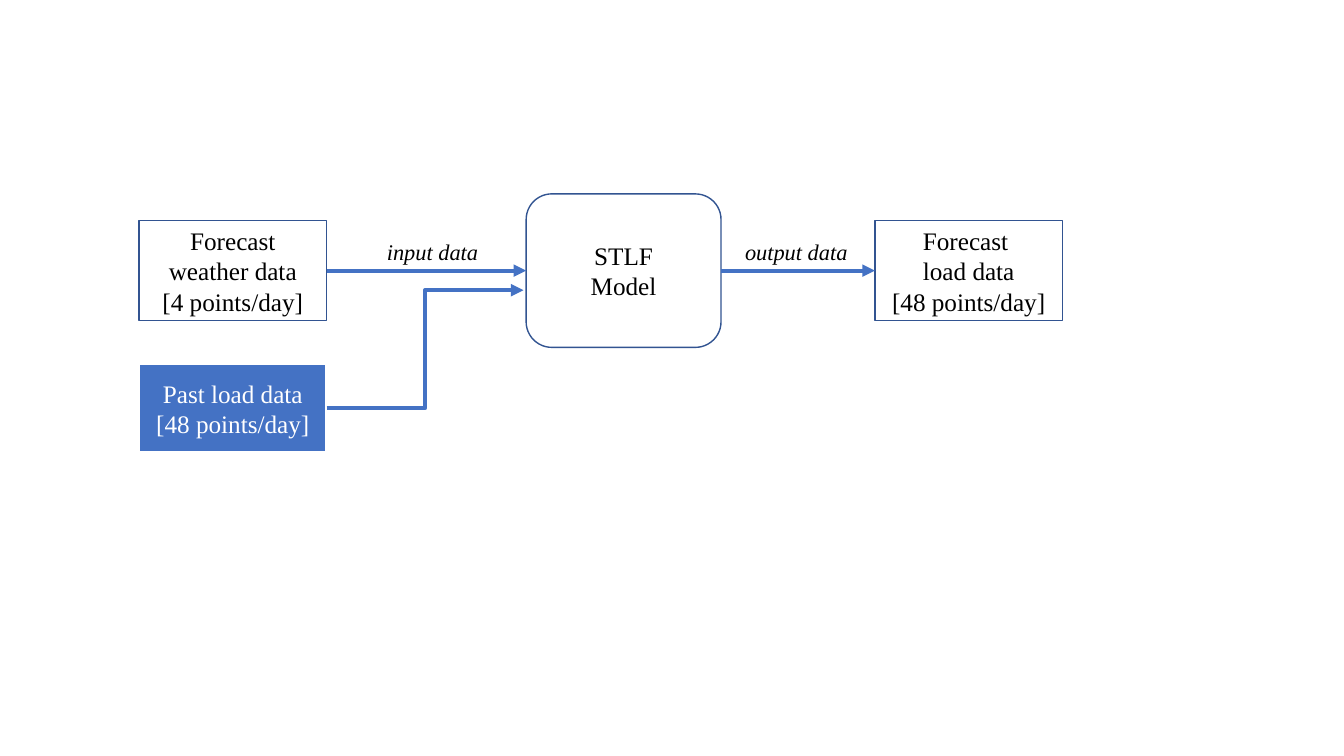
from lxml.etree import SubElement as Sub
from pptx import Presentation
from pptx.dml.color import RGBColor
from pptx.enum.shapes import MSO_CONNECTOR as Link, MSO_SHAPE as Kind
from pptx.enum.text import MSO_ANCHOR as Anchor, MSO_AUTO_SIZE as Fit, PP_ALIGN as Align
from pptx.oxml.ns import qn
from pptx.util import Inches, Pt

BLUE = RGBColor(0x44, 0x72, 0xC4)
NAVY = RGBColor(0x32, 0x54, 0x91)
WHITE = RGBColor(0xFF, 0xFF, 0xFF)
BLACK = RGBColor(0, 0, 0)


class Board:
    """Draws on one slide; all lengths are percent of its width or height."""
    face = "Times New Roman"

    def __init__(self, deck):
        self.deck = deck
        self.slide = deck.slides.add_slide(deck.slide_layouts[6])
        self.shapes = self.slide.shapes

    def spot(self, x, y):
        return (round(self.deck.slide_width * x / 100),
                round(self.deck.slide_height * y / 100))

    def letter(self, frame, lines, size, color, align, slant=False):
        frame.word_wrap = True
        frame.text = "\n".join(lines)
        for para in frame.paragraphs:
            para.alignment = align
            font = para.font
            font.name, font.size, font.italic = self.face, Pt(size), slant
            font.color.rgb = color

    def box(self, x, mid, wide, high, lines, kind=Kind.RECTANGLE,
            fill=None, edge=NAVY, width=1, ink=BLACK):
        """Add a box centred on the height mid."""
        box = self.shapes.add_shape(
            kind, *self.spot(x, mid - high / 2), *self.spot(wide, high))
        box.shadow.inherit = False
        if fill is None:
            box.fill.background()
        else:
            box.fill.solid()
            box.fill.fore_color.rgb = fill
        box.line.color.rgb = edge
        box.line.width = Pt(width)
        box.text_frame.vertical_anchor = Anchor.MIDDLE
        self.letter(box.text_frame, lines, 18, ink, Align.CENTER)
        return box

    def arrow(self, kind, start, end):
        link = self.shapes.add_connector(kind, *self.spot(*start), *self.spot(*end))
        link.line.color.rgb = BLUE
        link.line.width = Pt(3)
        props = link._element.spPr
        Sub(props.find(qn("a:ln")), qn("a:tailEnd"), type="triangle")
        Sub(props, qn("a:effectLst"))
        return link

    def join(self, left, right):
        """Run a straight arrow from one box to the next."""
        link = self.arrow(Link.STRAIGHT, (0, 0), (1, 1))
        link.begin_connect(left, 3)
        link.end_connect(right, 1)

    def label(self, x, y, text):
        note = self.shapes.add_textbox(*self.spot(x, y), *self.spot(12.45, 4.95))
        self.letter(note.text_frame, [text], 16, BLACK, Align.LEFT, slant=True)
        note.text_frame.auto_size = Fit.SHAPE_TO_FIT_TEXT


def main():
    deck = Presentation()
    deck.slide_width, deck.slide_height = Inches(13.33), Inches(7.5)
    board = Board(deck)

    # Shared places: main row, lower row, box columns and sizes
    row, low = 35.8, 54
    left, mid, right = 10.35, 39.15, 65.1
    wide, high = 13.95, 13.2

    # Boxes
    model = board.box(mid, row, 14.5, 20.3, ["STLF", "Model"],
                      kind=Kind.ROUNDED_RECTANGLE)
    sky = board.box(left, row, wide, high,
                    ["Forecast weather data", "[4 points/day]"])
    board.box(left, low, wide, 11.7, ["Past load data", "[48 points/day]"],
              fill=BLUE, edge=WHITE, width=1.5, ink=WHITE)
    load = board.box(right, row, wide, high,
                     ["Forecast ", "load data", "[48 points/day]"])

    # Arrows
    board.join(sky, model)
    board.join(model, load)
    board.arrow(Link.ELBOW, (left + wide, low), (mid - 0.2, 38.4))

    # Arrow labels
    board.label(28.05, 30.8, "input data")
    board.label(54.7, 30.8, "output data")

    deck.save("out.pptx")


if __name__ == "__main__":
    main()
